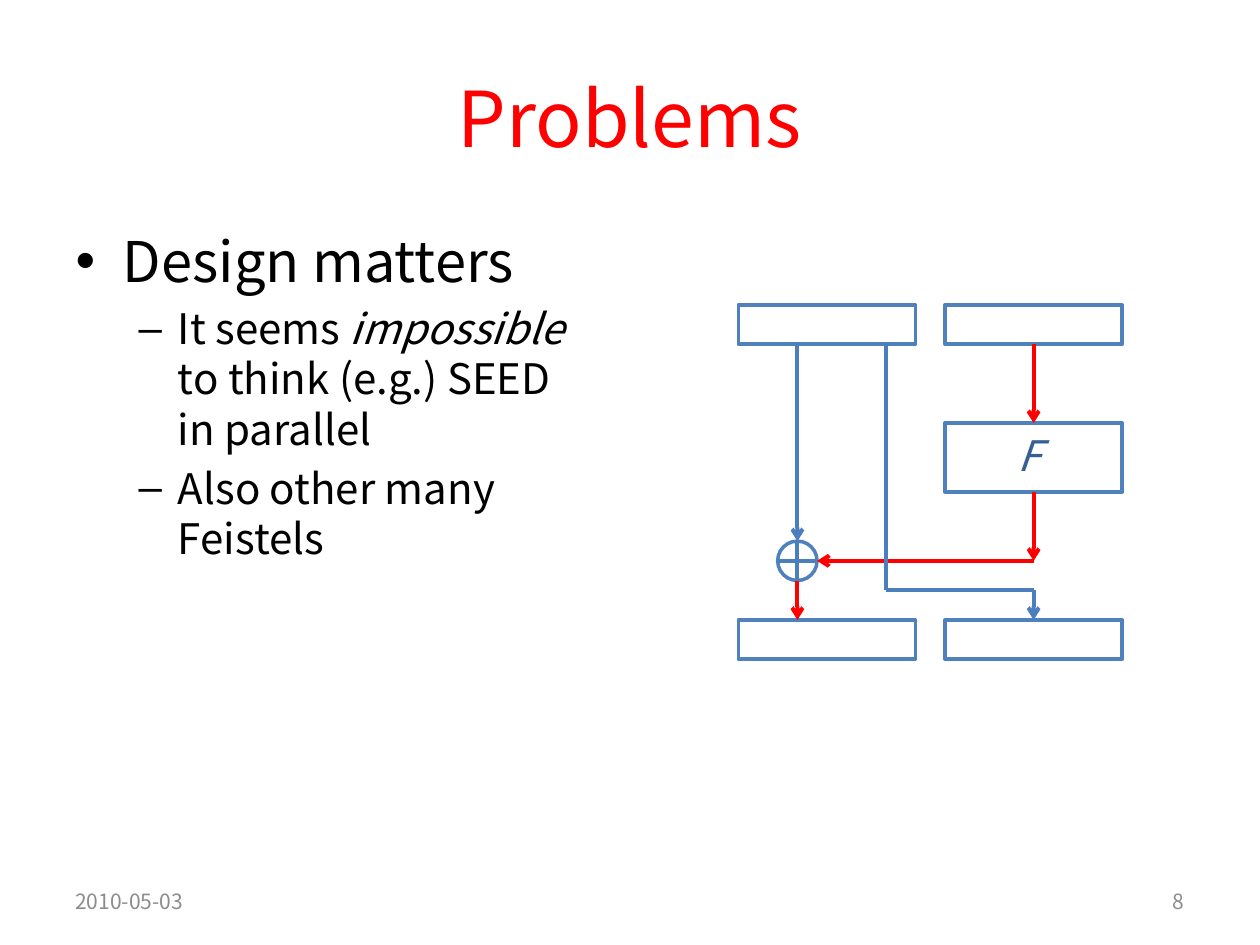
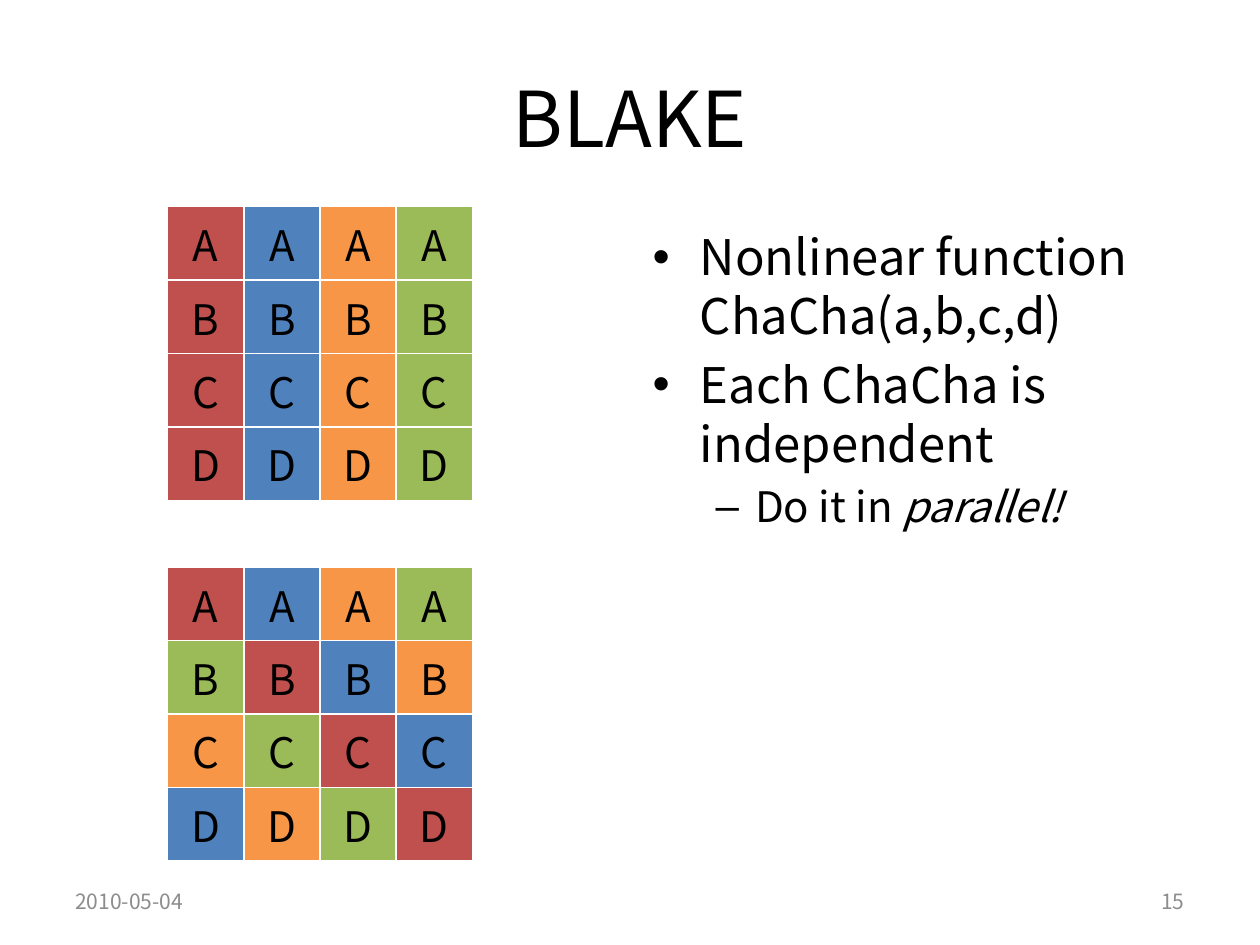
from lxml.etree import SubElement
from pptx import Presentation
from pptx.dml.color import RGBColor
from pptx.enum.shapes import MSO_CONNECTOR, MSO_SHAPE
from pptx.enum.text import MSO_ANCHOR, MSO_AUTO_SIZE, PP_ALIGN
from pptx.oxml.ns import qn
from pptx.util import Inches, Pt

FONT = "Noto Sans CJK KR"
BLACK, WHITE, RED, GREY = "000000", "FFFFFF", "FF0000", "8C8C8C"
EDGE, WIRE, NAVY = "4F81BD", "4B7EBC", "376092"
HUES = ["C0504D", "4F81BD", "F79646", "9BBB59"]
WIDE, HIGH = 10, 7.5

# Each item: level, size, text; *stars* mark italics.
PROBLEMS = [
    (0, 32, "Design matters"),
    (1, 24, "It seems *impossible*\nto think (e.g.) SEED\nin parallel"),
    (1, 24, "Also other many Feistels"),
]
BLAKE = [
    (0, 28, "Nonlinear function\nChaCha(a,b,c,d)"),
    (0, 28, "Each ChaCha is\nindependent"),
    (1, 24, "Do it in *parallel!*"),
]

# Feistel round, in grid units: boxes are left, top, width, height, label.
UNIT, LEFT, TOP = 2.5 / 32, 5.86, 2.42
BOXES = [(x, y, 18, 4, "") for y in (0, 32) for x in (0, 21)]
BOXES.append((21, 12, 18, 7, "*F*"))
XOR = (4, 24, 4, 4)
# Wires: start, end, colour, arrowhead.
WIRES = [
    ((6, 4), (6, 24), WIRE, True),
    ((30, 4), (30, 12), RED, True),
    ((30, 26), (8, 26), RED, True),
    ((8, 26), (4, 26), WIRE, False),
    ((30, 19), (30, 26), RED, True),
    ((15, 4), (15, 29), WIRE, False),
    ((30, 29), (15, 29), WIRE, False),
    ((30, 29), (30, 32), WIRE, True),
    ((6, 28), (6, 32), RED, True),
    ((6, 24), (6, 28), WIRE, False),
]

# BLAKE state: top of each table and the hue shift per row.
ROWS = "ABCD"
STATES = [(1.64, 0), (4.5, 1)]
CELL_W, CELL_H = 0.605, 0.583


def rgb(code):
    return RGBColor.from_string(code)


def write(para, text, size=12, color=BLACK, align=None):
    para.alignment = align
    for n, part in enumerate(text.split("*")):
        for k, line in enumerate(part.split("\n")):
            if k:
                para.add_line_break()
            if line:
                run = para.add_run()
                run.text = line
                font = run.font
                font.name, font.size = FONT, Pt(size)
                font.color.rgb = rgb(color)
                font.italic = n % 2 == 1


def start(deck, title, items, side, date, page, color=BLACK):
    """Add a slide with its title, list on one side (1 or 2) and footer."""
    slide = deck.slides.add_slide(deck.slide_layouts[3])
    head, body, spare = (slide.placeholders[k] for k in (0, side, 3 - side))
    spare.element.getparent().remove(spare.element)

    write(head.text_frame.paragraphs[0], title, size=44, color=color,
          align=PP_ALIGN.CENTER)
    body.left = Inches(0.5 if side == 1 else 5.08)
    body.top, body.width, body.height = Inches(1.75), Inches(4.42), Inches(4.95)
    frame = body.text_frame
    frame.auto_size = MSO_AUTO_SIZE.NONE
    frame.paragraphs[0].space_before = Pt(0)
    for n, (level, size, text) in enumerate(items):
        para = frame.add_paragraph() if n else frame.paragraphs[0]
        para.level = level
        write(para, text, size=size)

    span = 2.33
    for left, text, align in ((0.5, date, PP_ALIGN.LEFT),
                              (WIDE - 0.5 - span, page, PP_ALIGN.RIGHT)):
        box = slide.shapes.add_textbox(Inches(left), Inches(6.95),
                                       Inches(span), Inches(0.4))
        box.text_frame.word_wrap = True
        box.text_frame.vertical_anchor = MSO_ANCHOR.MIDDLE
        write(box.text_frame.paragraphs[0], text, color=GREY, align=align)
    return slide


def spot(x, y):
    """Turn grid units into a place on the slide."""
    return Inches(LEFT + x * UNIT), Inches(TOP + y * UNIT)


def block(slide, kind, x, y, w, h, label="", fill=None):
    shape = slide.shapes.add_shape(kind, *spot(x, y),
                                   Inches(w * UNIT), Inches(h * UNIT))
    shape.shadow.inherit = False
    if fill:
        shape.fill.solid()
        shape.fill.fore_color.rgb = rgb(fill)
    else:
        shape.fill.background()
    shape.line.color.rgb = rgb(EDGE)
    shape.line.width = Pt(2)
    if label:
        frame = shape.text_frame
        frame.margin_top, frame.margin_bottom = 0, Inches(0.05)
        frame.margin_left, frame.margin_right = 0, Inches(0.08)
        frame.vertical_anchor = MSO_ANCHOR.MIDDLE
        write(frame.paragraphs[0], label, size=24, color=NAVY,
              align=PP_ALIGN.CENTER)


def wire(slide, begin, end, color, arrow):
    line = slide.shapes.add_connector(MSO_CONNECTOR.STRAIGHT,
                                      *spot(*begin), *spot(*end))
    line.line.color.rgb = rgb(color)
    line.line.width = Pt(2.25)
    if arrow:
        SubElement(line.line._get_or_add_ln(), qn("a:tailEnd"), type="arrow")
    SubElement(line.element.spPr, qn("a:effectLst"))


def border(cell):
    """Draw white edges, placed ahead of the cell's fill."""
    props = cell._tc.get_or_add_tcPr()
    for n, side in enumerate(("lnL", "lnR", "lnT", "lnB")):
        edge = SubElement(props, qn("a:" + side), w=str(Pt(1)))
        fill = SubElement(edge, qn("a:solidFill"))
        SubElement(fill, qn("a:srgbClr"), val=WHITE)
        props.insert(n, edge)


def state(slide, top, shift):
    count = len(ROWS)
    table = slide.shapes.add_table(
        count, count, Inches(1.33), Inches(top),
        Inches(count * CELL_W), Inches(count * CELL_H)).table
    table.first_row = table.horz_banding = False
    for r, name in enumerate(ROWS):
        for c in range(count):
            cell = table.cell(r, c)
            cell.fill.solid()
            cell.fill.fore_color.rgb = rgb(HUES[(c - r * shift) % count])
            border(cell)
            write(cell.text_frame.paragraphs[0], name, size=24,
                  align=PP_ALIGN.CENTER)


def main():
    deck = Presentation()
    deck.slide_width, deck.slide_height = Inches(WIDE), Inches(HIGH)

    slide = start(deck, "Problems", PROBLEMS, 1, "2010-05-03", "8", color=RED)
    for *place, label in BOXES:
        block(slide, MSO_SHAPE.RECTANGLE, *place, label=label, fill=WHITE)
    block(slide, MSO_SHAPE.OVAL, *XOR)
    for item in WIRES:
        wire(slide, *item)

    slide = start(deck, "BLAKE", BLAKE, 2, "2010-05-04", "15")
    for top, shift in STATES:
        state(slide, top, shift)

    deck.save("out.pptx")


if __name__ == "__main__":
    main()
